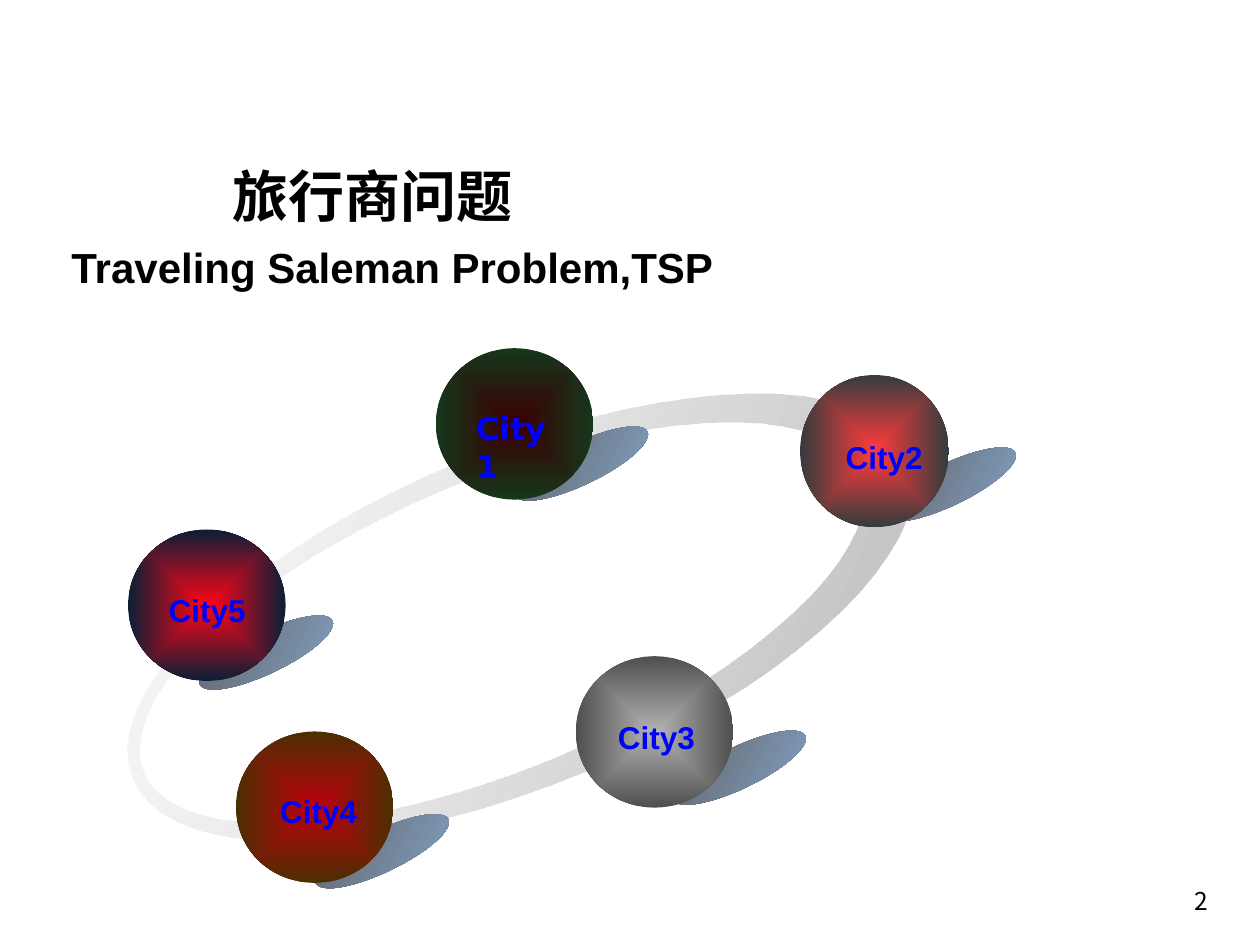
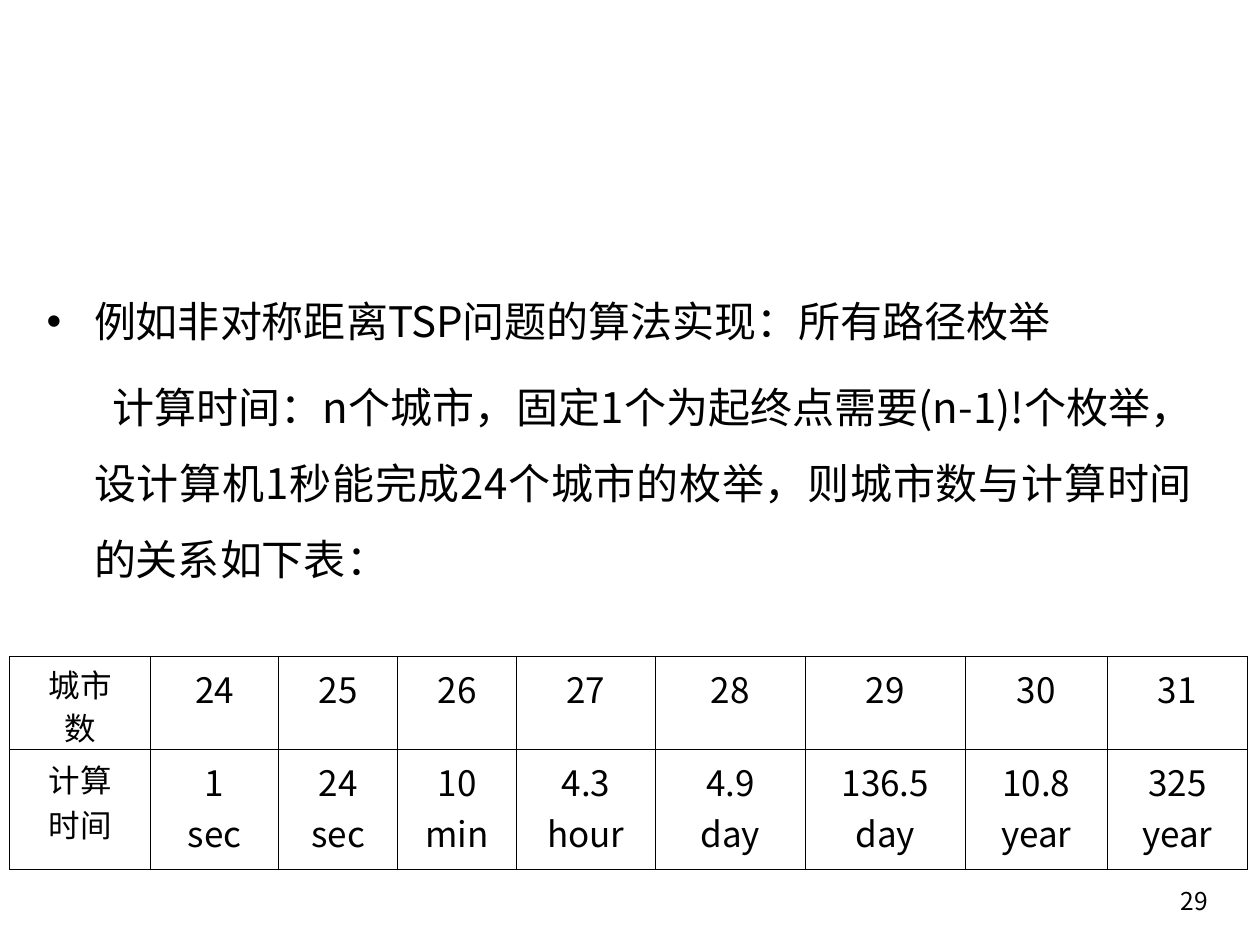
import math
from lxml import etree
from pptx import Presentation
from pptx import util as u
from pptx.dml.color import RGBColor
from pptx.enum import text
from pptx.enum.shapes import MSO_SHAPE
from pptx.oxml import parse_xml
from pptx.oxml.ns import qn

Pt = u.Pt
A_NS = 'xmlns:a="http://schemas.openxmlformats.org/drawingml/2006/main"'
ARIAL, CJK, DEJAVU = "Arial", "Noto Sans CJK SC", "DejaVu Sans"
LEFT, CENTER, RIGHT, JUSTIFY = (text.PP_ALIGN.LEFT, text.PP_ALIGN.CENTER,
                                text.PP_ALIGN.RIGHT, text.PP_ALIGN.JUSTIFY)
COLORS = {
    "text": "000000", "label": "0000FF",
    "ring_light": "F5F5F5", "ring_dark": "B2B2B2",
    "shadow_dark": "5F5F5F", "shadow_blue": "84A5CA",
}


def write(shape, content, size, font=CJK, color="text", bold=False, align=LEFT,
          anchor=text.MSO_ANCHOR.TOP):
    """Fill a shape or a table cell with evenly formatted text."""
    tf = shape.text_frame
    tf.text = content
    tf.vertical_anchor = anchor
    for p in tf.paragraphs:
        p.alignment = align
        for r in p.runs:
            r.font.size, r.font.bold, r.font.name = Pt(size), bold, font
            r.font.color.rgb = RGBColor.from_string(COLORS[color])
            ea = etree.SubElement(r.font._element, qn("a:ea"))
            ea.set("typeface", CJK)
    return tf


def shade(sp, start, end, angle=None):
    """Gradient without outline: linear at a clockwise angle, or from the centre."""
    sp.shadow.inherit = False
    sp.line.fill.background()
    sp.fill.gradient()
    for stop, color in zip(sp.fill.gradient_stops, (start, end)):
        stop.color.rgb = RGBColor.from_string(color)
    if angle is not None:
        sp.fill.gradient_angle = 360 - angle
        return
    lin = sp._element.spPr.find(".//" + qn("a:lin"))
    lin.getparent().replace(lin, parse_xml(
        f'<a:path {A_NS} path="rect"><a:fillToRect l="50000" t="50000" '
        'r="50000" b="50000"/></a:path>'))


prs = Presentation()
prs.slide_width, prs.slide_height = Pt(720), Pt(540)

# ---- Slide 1: the travelling salesman tour ----
s = prs.slides.add_slide(prs.slide_layouts[0])
headings = [
    (s.shapes.title, "旅行商问题", (3, 66, 420, 91), 32),
    (s.placeholders[1], "Traveling Saleman Problem,TSP", (14.2, 123, 420, 63), 24),
]
for sp, content, box, size in headings:
    sp.left, sp.top, sp.width, sp.height = map(Pt, box)
    tf = write(sp, content, size, ARIAL, bold=True, align=CENTER,
               anchor=text.MSO_ANCHOR.MIDDLE)
    tf.auto_size = text.MSO_AUTO_SIZE.NONE
    tf.paragraphs[0].space_before = Pt(0)
tf.paragraphs[0].line_spacing = 0.9

# Tilted ring: outer ellipse, inner ellipse drawn the other way round
STEPS = 72
CX, CY = 297.4, 352.6
rings = [(CX, CY, 239.8, -95.4), (CX - 11.2, CY - 1.2, 221.2, 82.4)]
fb = None
for x, y, rx, ry in rings:
    points = []
    for i in range(STEPS):
        a = 2 * math.pi * i / STEPS
        points.append((Pt(x - rx * math.sin(a)), Pt(y + ry * math.cos(a))))
    if fb is None:
        fb = s.shapes.build_freeform(*points[0])
    else:
        fb.move_to(*points[0])
    fb.add_line_segments(points[1:], close=True)
sp = fb.convert_to_shape()
sp.rotation = -22.6
shade(sp, COLORS["ring_light"], COLORS["ring_dark"], 46)
first_color = sp._element.spPr.find(".//" + qn("a:srgbClr"))
etree.SubElement(first_color, qn("a:alpha")).set("val", "36000")

# Cities: name, ball box, centre and edge colours, shadow corner, label corner, font
cities = [
    ("City1", (249, 199, 90, 86.5), "3A0004", "15371C", (290, 253), (265, 230), DEJAVU),
    ("City5", (73.2, 302.6, 90, 86.5), "FF0517", "0A1F36", (110, 361), (89.3, 334), ARIAL),
    ("City4", (134.8, 418, 90, 86.5), "BC000D", "4B2F01", (176.2, 474.5), (153, 449), ARIAL),
    ("City3", (329, 375, 90, 86.5), "B2B2B2", "4F4F4F", (380.2, 426.8), (346, 406.8), ARIAL),
    ("City2", (457.2, 214.3, 85, 87), "FF3B3B", "343C3E", (500.2, 265), (476.2, 247), ARIAL),
]
for city in cities:
    sp = s.shapes.add_shape(MSO_SHAPE.OVAL, *map(Pt, (*city[4], 84.2, 23.8)))
    sp.rotation = -25.7
    shade(sp, COLORS["shadow_dark"], COLORS["shadow_blue"], 52)
for city in cities:
    sp = s.shapes.add_shape(MSO_SHAPE.OVAL, *map(Pt, city[1]))
    shade(sp, city[2], city[3])
for name, *_, corner, font in cities:
    sp = s.shapes.add_textbox(*map(Pt, (*corner, 59, 29)))
    tf = write(sp, name, 18, font, "label", bold=True)
    tf.word_wrap = font == DEJAVU

# ---- Slide 2: cost of enumerating all routes ----
s = prs.slides.add_slide(prs.slide_layouts[1])
title = s.shapes.title
title._element.getparent().remove(title._element)

# Table of city counts and computing times
columns = [
    (80.6, "城市\n数", "计算\n时间"), (73.2, "24", "1\nsec"), (68, "25", "24\nsec"),
    (68, "26", "10\nmin"), (79.4, "27", "4.3\nhour"), (85.7, "28", "4.9\nday"),
    (91.4, "29", "136.5\nday"), (81.1, "30", "10.8\nyear"), (80.2, "31", "325\nyear"),
]
table = s.shapes.add_table(2, len(columns), Pt(5.4), Pt(375), Pt(707.6), Pt(122)).table
table.first_row = table.horz_banding = False
table.rows[0].height, table.rows[1].height = Pt(53.3), Pt(68.7)
for c, (width, *values) in enumerate(columns):
    table.columns[c].width = Pt(width)
    for r, value in enumerate(values):
        cell = table.cell(r, c)
        write(cell, value, 20 if c else 18, align=CENTER)
        cell.fill.background()
        tcPr = cell._tc.get_or_add_tcPr()
        for i, side in enumerate("LRTB"):
            tcPr.insert(i, parse_xml(
                f'<a:ln{side} {A_NS} w="5715"><a:solidFill><a:srgbClr '
                f'val="{COLORS["text"]}"/></a:solidFill></a:ln{side}>'))

# The two-line heading cell is tight in its row
corner_cell = table.cell(0, 0)
corner_cell.margin_bottom = Pt(0)
for p in corner_cell.text_frame.paragraphs:
    p.line_spacing = 0.95

# Explanation
body = s.placeholders[1]
body.left, body.top, body.width, body.height = map(Pt, (19.5, 151, 669, 164))
tf = write(body, "例如非对称距离TSP问题的算法实现：所有路径枚举\n"
           "计算时间：n个城市，固定1个为起终点需要(n-1)!个枚举，"
           "设计算机1秒能完成24个城市的枚举，则城市数与计算时间的关系如下表：", 24)
tf.auto_size = text.MSO_AUTO_SIZE.NONE
settings = [(-27, 0, LEFT, f'<a:buChar {A_NS} char="•"/>'),
            (10.5, 6, JUSTIFY, f'<a:buNone {A_NS}/>')]
for p, (indent, before, align, bullet) in zip(tf.paragraphs, settings):
    pPr = p._p.get_or_add_pPr()
    pPr.set("marL", str(Pt(27)))
    pPr.set("indent", str(Pt(indent)))
    pPr.append(parse_xml(bullet))
    p.alignment, p.line_spacing, p.space_before = align, 1.5, Pt(before)

# ---- Page numbers ----
for s, number in zip(prs.slides, ("2", "29")):
    sp = s.shapes.add_textbox(Pt(516), Pt(500), Pt(181.5), Pt(29))
    tf = write(sp, number, 14, align=RIGHT, anchor=text.MSO_ANCHOR.MIDDLE)
    tf.word_wrap = True

prs.save("out.pptx")
